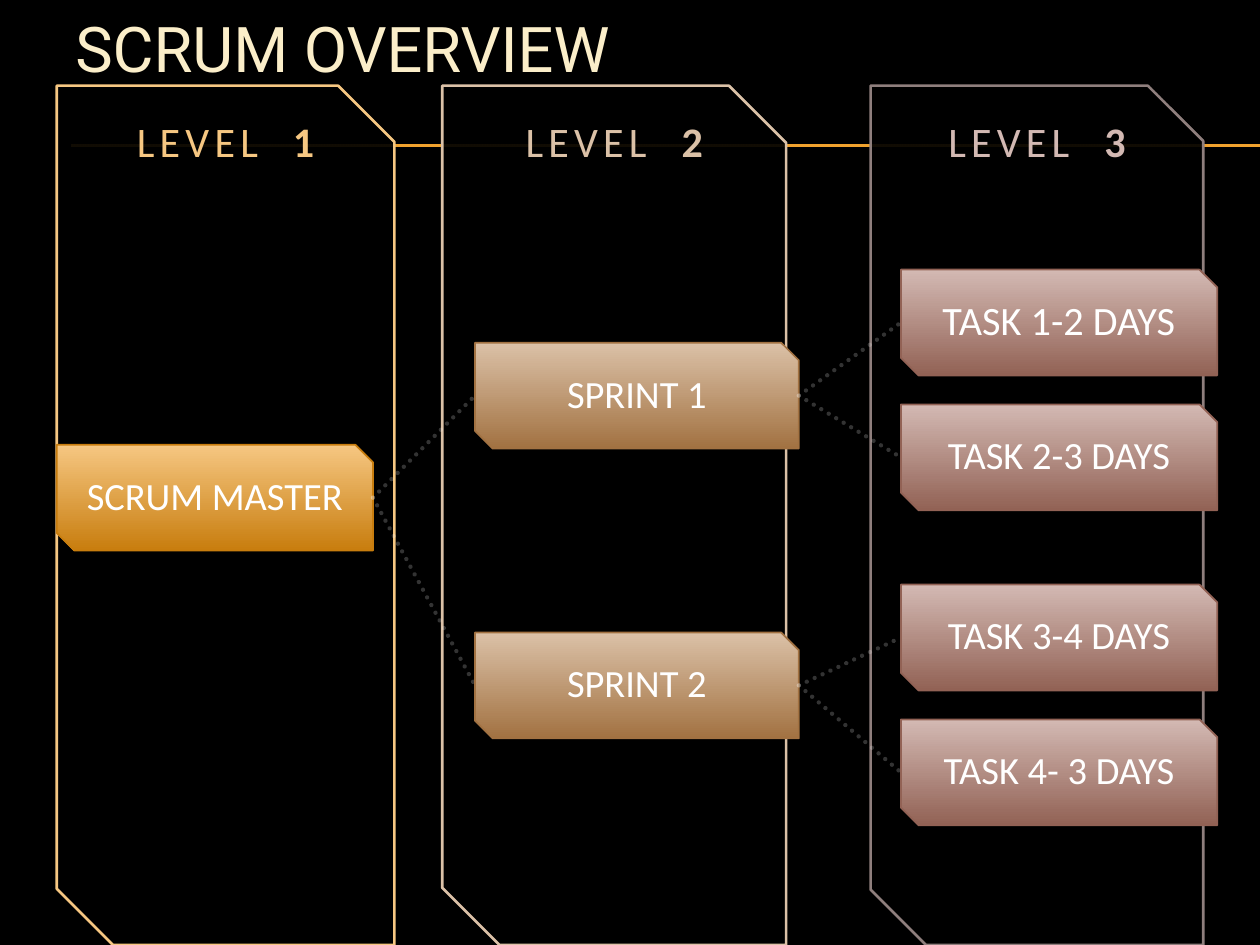
from dataclasses import dataclass
from lxml.etree import SubElement
from pptx import Presentation
from pptx.dml.color import RGBColor
from pptx.enum.dml import MSO_LINE
from pptx.enum.shapes import MSO_CONNECTOR, MSO_SHAPE
from pptx.enum.text import MSO_ANCHOR, PP_ALIGN
from pptx.oxml.ns import qn
from pptx.util import Inches, Pt


@dataclass(frozen=True)
class Theme:
    """Colours, fonts and type sizes."""
    back: str = "000000"
    white: str = "FFFFFF"
    rule: str = "F0A22E"
    title: str = "FBEEC9"
    head_font: str = "Roboto"
    body_font: str = "Calibri"
    title_size: int = 36
    level_size: int = 24
    box_size: int = 22


THEME = Theme()
TITLE = "SCRUM OVERVIEW"
RULES = (1.15, 1.16)
TOP, FOOT, BOX_H = 0.68, 7.5, 0.84

# Each level: panel left and width, box left and width, light, dark, edge
LEVELS = [
    dict(x=0.45, w=2.68, box=0.45, wide=2.51,
         light="F6C782", dark="C87D0E", edge="F6C782"),
    dict(x=3.51, w=2.73, box=3.77, wide=2.57,
         light="DBC1A7", dark="A27242", edge="DBC1A7"),
    dict(x=6.91, w=2.64, box=7.15, wide=2.51,
         light="D3B9B3", dark="926255", edge="8F7F7D"),
]

# Each node: text, top, size, children
TREE = ("SCRUM MASTER", 3.53, THEME.box_size, [
    ("SPRINT 1", 2.72, THEME.box_size, [
        ("TASK 1-2 DAYS", 2.14, 23, []),
        ("TASK 2-3 DAYS", 3.21, THEME.box_size, []),
    ]),
    ("SPRINT 2", 5.02, THEME.box_size, [
        ("TASK 3-4 DAYS", 4.64, THEME.box_size, []),
        ("TASK 4- 3 DAYS", 5.71, THEME.box_size, []),
    ]),
])


def rgb(code):
    """Turn a hex code into a colour."""
    return RGBColor.from_string(code)


def fade(part, value):
    """Set the opacity, in percent, of every colour inside an XML part."""
    for color in list(part.iter(qn("a:srgbClr"))):
        SubElement(color, qn("a:alpha")).set("val", str(value * 1000))


def write(shape, runs, size, color, font=THEME.body_font, align=PP_ALIGN.CENTER,
          anchor=MSO_ANCHOR.MIDDLE, pad=(0.02,) * 4, gap=0, lead=0.9):
    """Write (text, bold) runs into a shape as one paragraph."""
    frame = shape.text_frame
    frame.word_wrap = True
    frame.vertical_anchor = anchor
    (frame.margin_left, frame.margin_top,
     frame.margin_right, frame.margin_bottom) = map(Inches, pad)
    para = frame.paragraphs[0]
    para.alignment, para.line_spacing = align, lead
    for text, bold in runs:
        run = para.add_run()
        run.text = text
        run.font.name, run.font.size, run.font.bold = font, Pt(size), bold
        run.font.color.rgb = rgb(color)
        if gap:
            run.font._element.set("spc", str(gap * 100))


def add_text(x, y, w, h, runs, size, color, **kind):
    """Add a text box."""
    box = slide.shapes.add_textbox(*map(Inches, (x, y, w, h)))
    write(box, runs, size, color, **kind)


def add_snip(x, y, w, h, colors, edge, width):
    """Add a snipped box with a fill that runs from top to bottom."""
    shape = slide.shapes.add_shape(
        MSO_SHAPE.SNIP_2_DIAG_RECTANGLE, *map(Inches, (x, y, w, h)))
    shape.shadow.inherit = False
    shape.fill.gradient()
    shape.fill.gradient_angle = 270
    for stop, color in zip(shape.fill.gradient_stops, colors):
        stop.color.rgb = rgb(color)
    shape.line.color.rgb = rgb(edge)
    shape.line.width = Pt(width)
    return shape


def add_line(x1, y1, x2, y2, color, width):
    """Add a straight line without shadow."""
    line = slide.shapes.add_connector(
        MSO_CONNECTOR.STRAIGHT, *map(Inches, (x1, y1, x2, y2)))
    line.line.color.rgb = rgb(color)
    line.line.width = Pt(width)
    SubElement(line._element.spPr, qn("a:effectLst"))
    return line


def add_panel(num, level):
    """Add the panel of a level and its heading."""
    x, w = level["x"], level["w"]
    panel = add_snip(x, TOP, w, FOOT - TOP, [THEME.back] * 2, level["edge"], 1.5)
    stops = panel._element.spPr.find(qn("a:gradFill")).findall(".//" + qn("a:gs"))
    fade(stops[-1], 0)
    add_text(x, TOP, w, 2.04, [("LEVEL  ", False), (str(num), True)],
             THEME.level_size, level["light"], anchor=MSO_ANCHOR.TOP,
             pad=(0.19, 0.4, 0.19, 0.19), gap=3)


def add_link(x1, y1, x2, y2):
    """Add a faint dotted link between two boxes."""
    link = add_line(x1, y1, x2, y2, THEME.white, 2.5)
    link.line.dash_style = MSO_LINE.ROUND_DOT
    stroke = link._element.spPr.find(qn("a:ln"))
    stroke.set("cap", "rnd")
    fade(stroke, 20)


def add_node(node, depth=0):
    """Add a box, then its links and the boxes below it."""
    text, top, size, kids = node
    level = LEVELS[depth]
    box = add_snip(level["box"], top, level["wide"], BOX_H,
                   (level["light"], level["dark"]), level["dark"], 1)
    write(box, [(text, False)], size, THEME.white)
    for kid in kids:
        add_link(level["box"] + level["wide"], top + BOX_H / 2,
                 LEVELS[depth + 1]["box"], kid[1] + BOX_H / 2)
        add_node(kid, depth + 1)


deck = Presentation()
deck.slide_width, deck.slide_height = Inches(10), Inches(7.5)
slide = deck.slides.add_slide(deck.slide_layouts[6])
slide.background.fill.solid()
slide.background.fill.fore_color.rgb = rgb(THEME.back)

for y in RULES:
    add_line(0.56, y, 10, y, THEME.rule, 0.75)
for num, level in reversed(list(enumerate(LEVELS, 1))):
    add_panel(num, level)
add_node(TREE)
add_text(0.5, 0, 9, 0.75, [(TITLE, False)], THEME.title_size, THEME.title,
         font=THEME.head_font, align=PP_ALIGN.LEFT,
         pad=(0.1, 0.05, 0.1, 0.05), lead=1.0)

deck.save("out.pptx")
